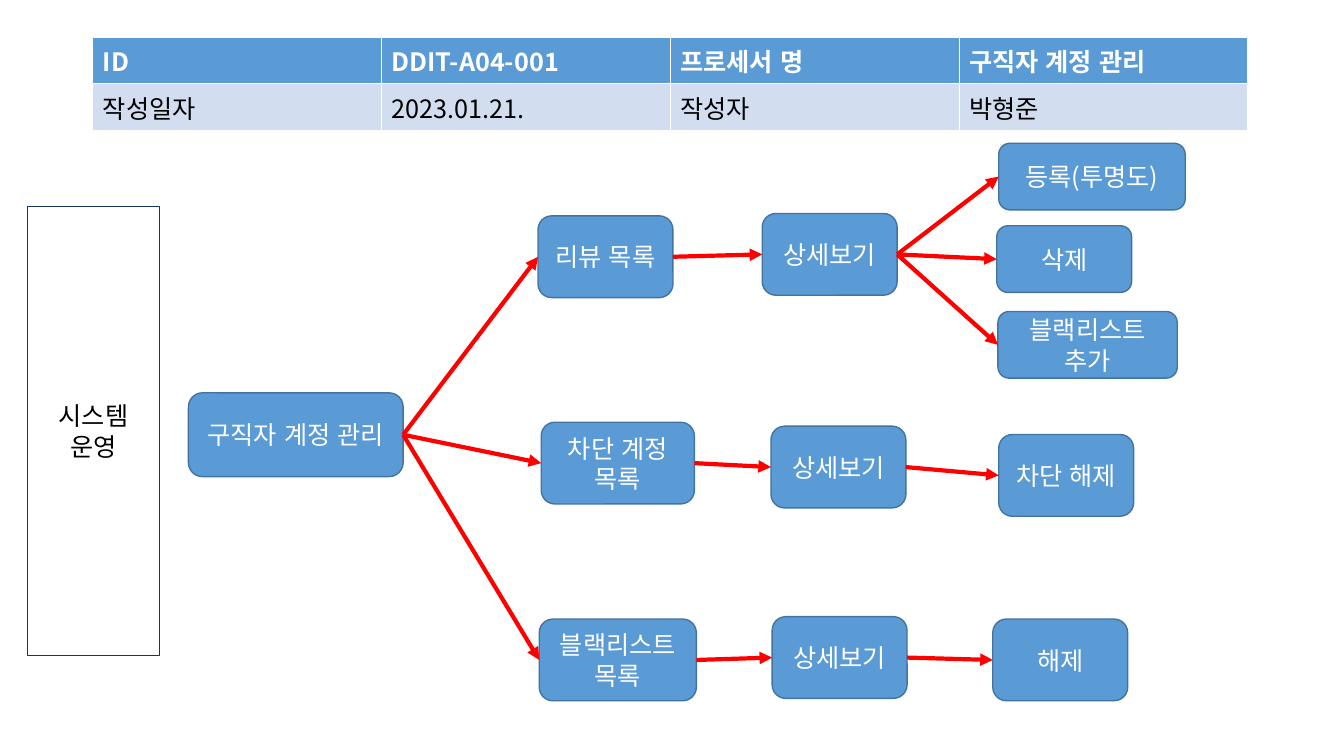
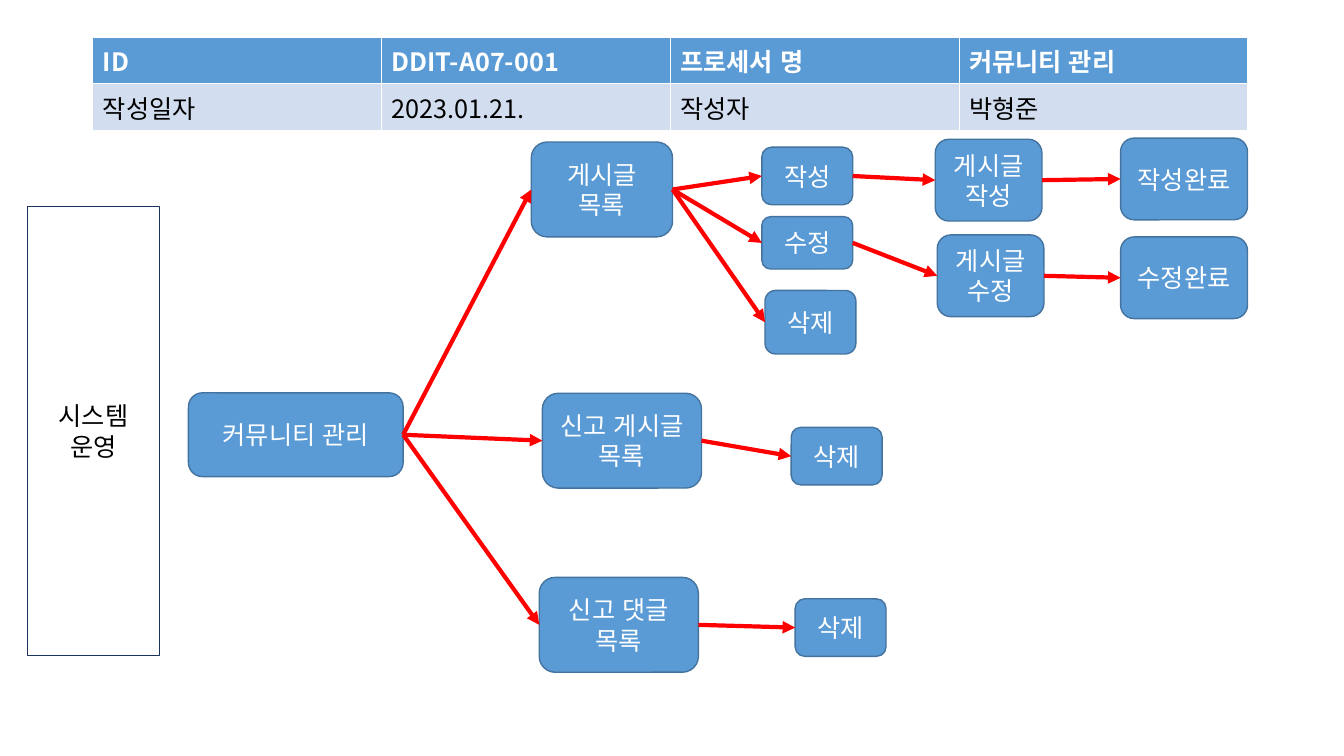
from dataclasses import dataclass

from lxml import etree
from pptx import Presentation
from pptx.dml.color import RGBColor
from pptx.enum import lang, shapes, text
from pptx.oxml.ns import qn
from pptx.util import Cm, Pt


@dataclass(frozen=True)
class Theme:
    font: str = "Noto Sans CJK KR"
    size: int = 18
    white: str = "FFFFFF"
    black: str = "000000"
    blue: str = "5B9BD5"
    pale_blue: str = "D2DEEF"
    box_line: str = "43739E"
    area_line: str = "1C335D"
    arrow: str = "FF0000"


T = Theme()

AREA = ("시스템\n운영", (0.69, 5.21, 3.33, 11.3))
ROOT_BOX = (4.75, 9.9, 5.41, 2.11)
TABLE_BOX = (2.34, 0.94, 29.11, 2.34)

# Box sizes in cm: width, height
STEP = (3.4, 2.06)
LIST = (4.01, 2.39)
BUTTON = (2.29, 1.45)
FORM = (2.69, 2.06)
DONE = (3.2, 2.06)

# Each node: label, (left, top), (width, height), following nodes
SLIDES = [
    {
        "id": "DDIT-A04-001",
        "name": "구직자 계정 관리",
        "flow": [
            ("리뷰 목록", (13.56, 5.44), STEP, [
                ("상세보기", (19.21, 5.38), STEP, [
                    ("등록(투명도)", (25.17, 3.61), (4.7, 1.68), []),
                    ("삭제", (25.12, 5.69), (3.4, 1.68), []),
                    ("블랙리스트 추가", (25.15, 7.85), (4.52, 1.68), []),
                ]),
            ]),
            ("차단 계정 목록", (13.64, 10.64), (3.86, 2.06), [
                ("상세보기", (19.43, 10.74), STEP, [
                    ("차단 해제", (25.17, 10.95), STEP, []),
                ]),
            ]),
            ("블랙리스트 목록", (13.59, 15.6), (3.96, 2.06), [
                ("상세보기", (19.46, 15.54), STEP, [
                    ("해제", (25.02, 15.6), STEP, []),
                ]),
            ]),
        ],
    },
    {
        "id": "DDIT-A07-001",
        "name": "커뮤니티 관리",
        "flow": [
            ("게시글 목록", (13.39, 3.58), (3.56, 2.39), [
                ("작성", (19.2, 3.71), BUTTON, [
                    ("게시글작성", (23.57, 3.51), FORM, [
                        ("작성완료", (28.24, 3.48), DONE, []),
                    ]),
                ]),
                ("수정", (19.2, 5.46), (2.29, 1.32), [
                    ("게시글수정", (23.62, 5.92), FORM, [
                        ("수정완료", (28.24, 5.97), DONE, []),
                    ]),
                ]),
                ("삭제", (19.28, 7.32), (2.29, 1.6), []),
            ]),
            ("신고 게시글 목록", (13.67, 9.91), LIST, [
                ("삭제", (19.94, 10.77), BUTTON, []),
            ]),
            ("신고 댓글 목록", (13.59, 14.55), LIST, [
                ("삭제", (20.04, 15.09), BUTTON, []),
            ]),
        ],
    },
]


def rgb(value):
    return RGBColor.from_string(value)


def cm(values):
    return [Cm(v) for v in values]


def write(tf, label, color, bold=False):
    p = tf.paragraphs[0]
    p.text = label
    font = p.font
    font.size, font.bold, font.name = Pt(T.size), bold, T.font
    font.language_id = lang.MSO_LANGUAGE_ID.KOREAN
    font.color.rgb = rgb(color)
    # Korean glyphs take the East Asian typeface
    props = p._p.pPr.find(qn("a:defRPr"))
    etree.SubElement(props, qn("a:ea"), typeface=T.font)
    return p


def add_box(s, kind, label, box, fill, line, color, line_width):
    sp = s.shapes.add_shape(kind, *cm(box))
    sp.shadow.inherit = False
    sp.fill.solid()
    sp.fill.fore_color.rgb = rgb(fill)
    sp.line.color.rgb = rgb(line)
    sp.line.width = Pt(line_width)
    tf = sp.text_frame
    tf.word_wrap = True
    tf.vertical_anchor = text.MSO_ANCHOR.MIDDLE
    write(tf, label, color).alignment = text.PP_ALIGN.CENTER
    return sp


def add_node(s, label, box):
    return add_box(s, shapes.MSO_SHAPE.ROUNDED_RECTANGLE, label, box,
                   T.blue, T.box_line, T.white, 1)


def add_arrow(s, source, target):
    """Join the right side of source to the left side of target."""
    c = s.shapes.add_connector(shapes.MSO_CONNECTOR.STRAIGHT, 0, 0, 0, 0)
    c.begin_connect(source, 3)
    c.end_connect(target, 1)
    c.line.color.rgb = rgb(T.arrow)
    c.line.width = Pt(3)
    etree.SubElement(c.line._get_or_add_ln(), qn("a:tailEnd"), type="triangle")
    etree.SubElement(c._element.spPr, qn("a:effectLst"))


def add_flow(s, parent, nodes):
    for label, position, size, following in nodes:
        sp = add_node(s, label, position + size)
        add_arrow(s, parent, sp)
        add_flow(s, sp, following)


def add_header(s, rows):
    table = s.shapes.add_table(len(rows), len(rows[0]), *cm(TABLE_BOX)).table
    for i, row in enumerate(rows):
        head = i == 0
        for j, label in enumerate(row):
            cell = table.cell(i, j)
            cell.fill.solid()
            cell.fill.fore_color.rgb = rgb(T.blue if head else T.pale_blue)
            write(cell.text_frame, label, T.white if head else T.black, head)


def main():
    prs = Presentation()
    prs.slide_width, prs.slide_height = Cm(33.87), Cm(19.05)
    for process in SLIDES:
        s = prs.slides.add_slide(prs.slide_layouts[6])
        add_header(s, [
            ("ID", process["id"], "프로세서 명", process["name"]),
            ("작성일자", "2023.01.21.", "작성자", "박형준"),
        ])
        add_box(s, shapes.MSO_SHAPE.RECTANGLE, *AREA,
                T.white, T.area_line, T.black, 0.5)
        root = add_node(s, process["name"], ROOT_BOX)
        add_flow(s, root, process["flow"])
    prs.save("out.pptx")


if __name__ == "__main__":
    main()
